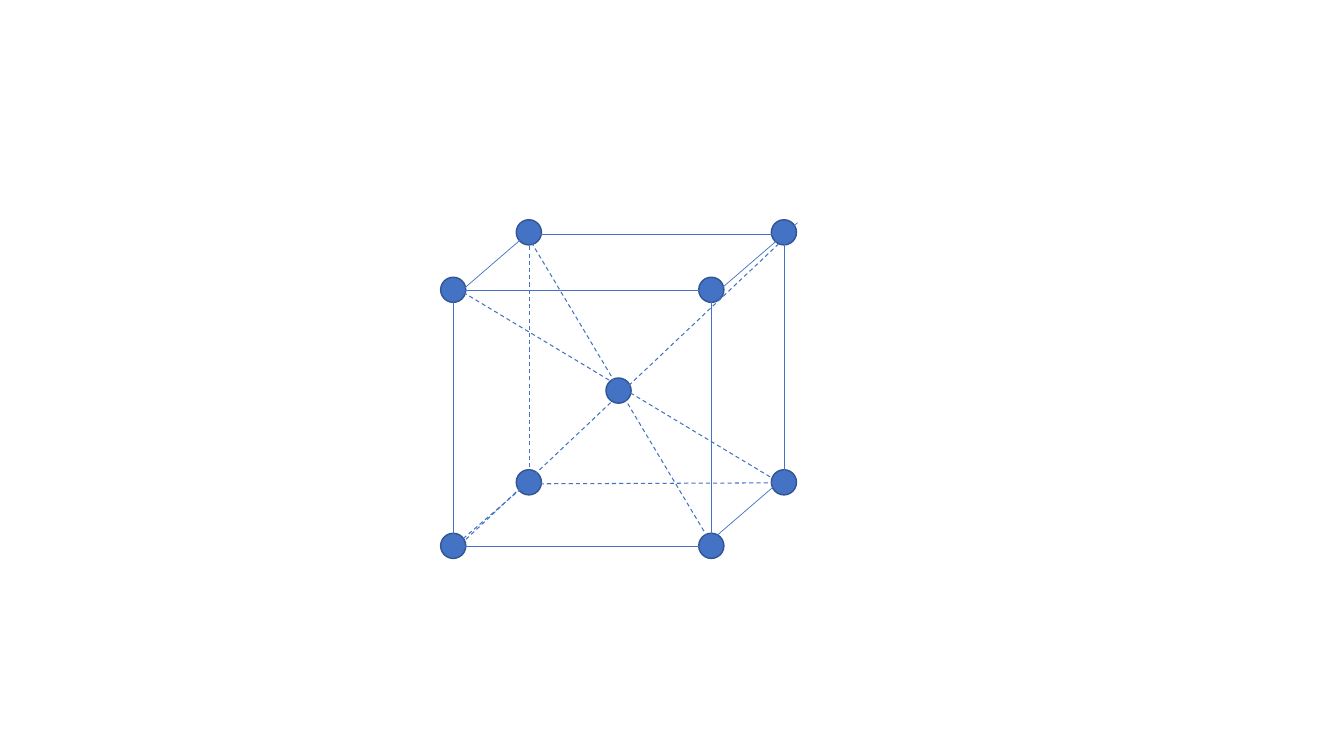
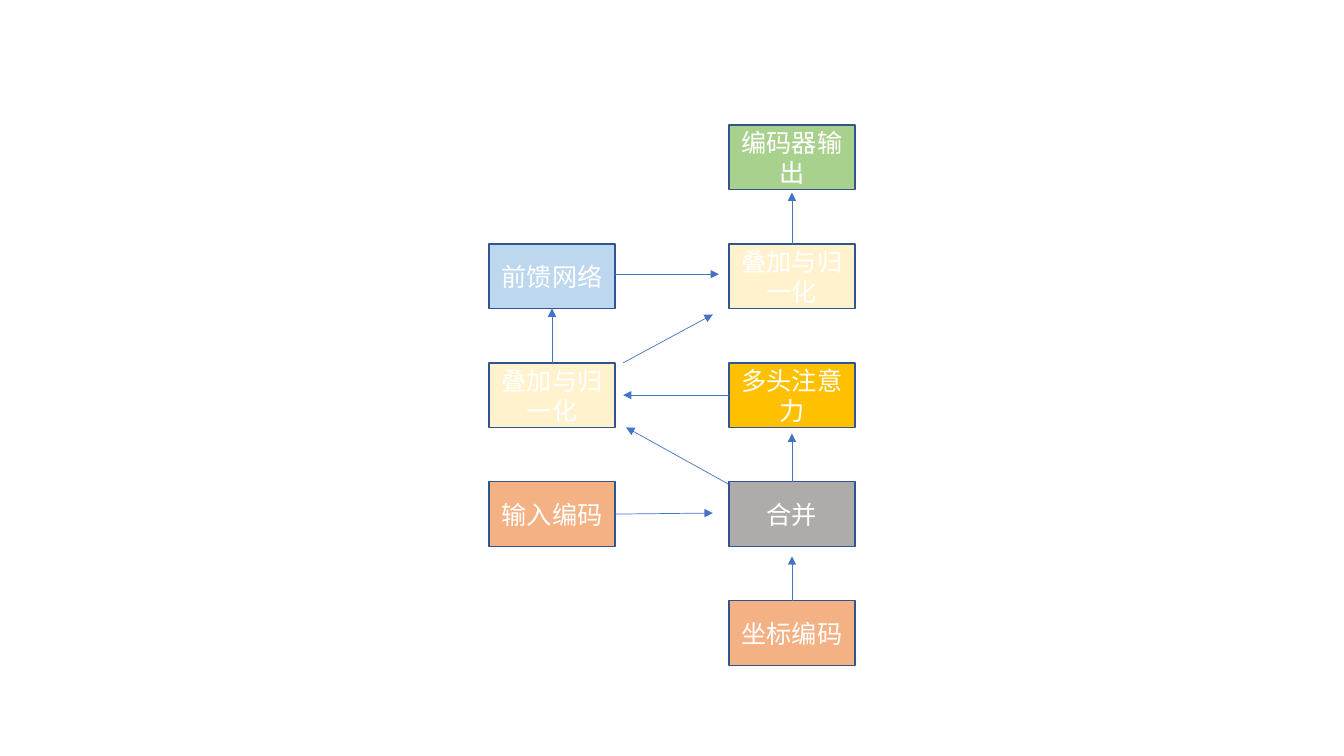
from lxml import etree
from pptx import Presentation
from pptx.dml.color import RGBColor
from pptx.enum.dml import MSO_LINE
from pptx.enum.shapes import MSO_CONNECTOR, MSO_SHAPE
from pptx.enum.text import MSO_ANCHOR, PP_ALIGN
from pptx.oxml.ns import qn
from pptx.util import Inches, Pt

STRAIGHT = MSO_CONNECTOR.STRAIGHT
DASH = MSO_LINE.DASH
OVAL = MSO_SHAPE.OVAL
RECTANGLE = MSO_SHAPE.RECTANGLE
MIDDLE = MSO_ANCHOR.MIDDLE
CENTER = PP_ALIGN.CENTER

BLUE = "4472C4"
OUTLINE = "325491"
WHITE = "FFFFFF"
CREAM = "FFF2CC"
ORANGE = "F4B183"
FONT = "Noto Sans CJK SC"


def add_node(page, kind, left, top, width, height, fill):
    node = page.shapes.add_shape(
        kind, Inches(left), Inches(top), Inches(width), Inches(height))
    node.shadow.inherit = False
    node.fill.solid()
    node.fill.fore_color.rgb = RGBColor.from_string(fill)
    node.line.color.rgb = RGBColor.from_string(OUTLINE)
    node.line.width = Pt(1)
    return node


def add_line(page, x1, y1, x2, y2, dashed=False, arrow=False):
    line = page.shapes.add_connector(
        STRAIGHT, Inches(x1), Inches(y1), Inches(x2), Inches(y2))
    line.line.color.rgb = RGBColor.from_string(BLUE)
    line.line.width = Pt(0.75 if dashed else 0.5)
    if dashed:
        line.line.dash_style = DASH
    properties = line._element.spPr
    if arrow:
        etree.SubElement(properties.find(qn("a:ln")), qn("a:tailEnd"), type="triangle")
    etree.SubElement(properties, qn("a:effectLst"))


deck = Presentation()
deck.slide_width = Inches(13.33)
deck.slide_height = Inches(7.5)
blank = deck.slide_layouts[6]

cube_page = deck.slides.add_slide(blank)
BALL = 0.25
back_corners = [(x, y) for y in (4.66, 2.18) for x in (7.65, 5.12)]
front_corners = [(x, y) for y in (2.75, 5.29) for x in (6.93, 4.37)]
for x, y in [(6.01, 3.75)] + back_corners + front_corners:
    add_node(cube_page, OVAL, x, y, BALL, BALL, BLUE)

solid_edges = [
    (4.44, 5.42, 7.06, 5.42),
    (5.21, 2.33, 7.82, 2.33),
    (4.47, 2.88, 7.09, 2.88),
    (4.5, 3, 4.5, 5.54),
    (7.78, 2.33, 7.78, 4.87),
    (7.06, 2.88, 7.06, 5.42),
    (7.11, 2.9, 7.91, 2.21),
    (6.94, 5.46, 7.74, 4.77),
    (4.5, 2.95, 5.3, 2.26),
]
hidden_edges = [
    (5.21, 4.8, 7.82, 4.79),
    (5.25, 2.3, 5.25, 4.85),
    (4.54, 5.39, 5.34, 4.7),
]
diagonals = [
    (5.16, 2.22, 7.03, 5.35),
    (4.41, 2.79, 7.67, 4.75),
    (4.57, 5.4, 7.86, 2.29),
]
for edge in solid_edges:
    add_line(cube_page, *edge)
for edge in hidden_edges + diagonals:
    add_line(cube_page, *edge, dashed=True)

encoder_page = deck.slides.add_slide(blank)
LEFT_COLUMN, RIGHT_COLUMN = 4.85, 7.23
FIRST_ROW, ROW_STEP = 1.24, 1.18
BOX_WIDTH, BOX_HEIGHT = 1.25, 0.64
steps = [
    (RIGHT_COLUMN, 0, "编码器输出", "A9D18E"),
    (RIGHT_COLUMN, 1, "叠加与归一化", CREAM),
    (RIGHT_COLUMN, 2, "多头注意力", "FFC000"),
    (RIGHT_COLUMN, 3, "合并", "AFABAB"),
    (RIGHT_COLUMN, 4, "坐标编码", ORANGE),
    (LEFT_COLUMN, 3, "输入编码", ORANGE),
    (LEFT_COLUMN, 2, "叠加与归一化", CREAM),
    (LEFT_COLUMN, 1, "前馈网络", "BDD7EE"),
]
for left, row, label, fill in steps:
    box = add_node(encoder_page, RECTANGLE, left, FIRST_ROW + row * ROW_STEP,
                   BOX_WIDTH, BOX_HEIGHT, fill)
    frame = box.text_frame
    frame.word_wrap = True
    frame.vertical_anchor = MIDDLE
    para = frame.paragraphs[0]
    para.text = label
    para.alignment = CENTER
    para.font.size = Pt(18)
    para.font.name = FONT
    para.font.color.rgb = RGBColor.from_string(WHITE)
    etree.SubElement(para._p.pPr.find(qn("a:defRPr")), qn("a:ea"), typeface=FONT)

left_middle = LEFT_COLUMN + BOX_WIDTH / 2
right_middle = RIGHT_COLUMN + BOX_WIDTH / 2
left_edge = LEFT_COLUMN + BOX_WIDTH
arrows = [
    (left_edge, 2.72, 7.13, 2.72),
    (left_edge, 5.1, 7.07, 5.09),
    (left_middle, 3.6, left_middle, 3.06),
    (6.18, 3.6, 7.07, 3.12),
    (7.22, 4.8, 6.21, 4.24),
    (right_middle, 5.96, right_middle, 5.52),
    (right_middle, 2.42, right_middle, 1.91),
    (right_middle, 4.78, right_middle, 4.3),
    (RIGHT_COLUMN, 3.92, 6.18, 3.92),
]
for arrow in arrows:
    add_line(encoder_page, *arrow, arrow=True)

deck.save("out.pptx")
